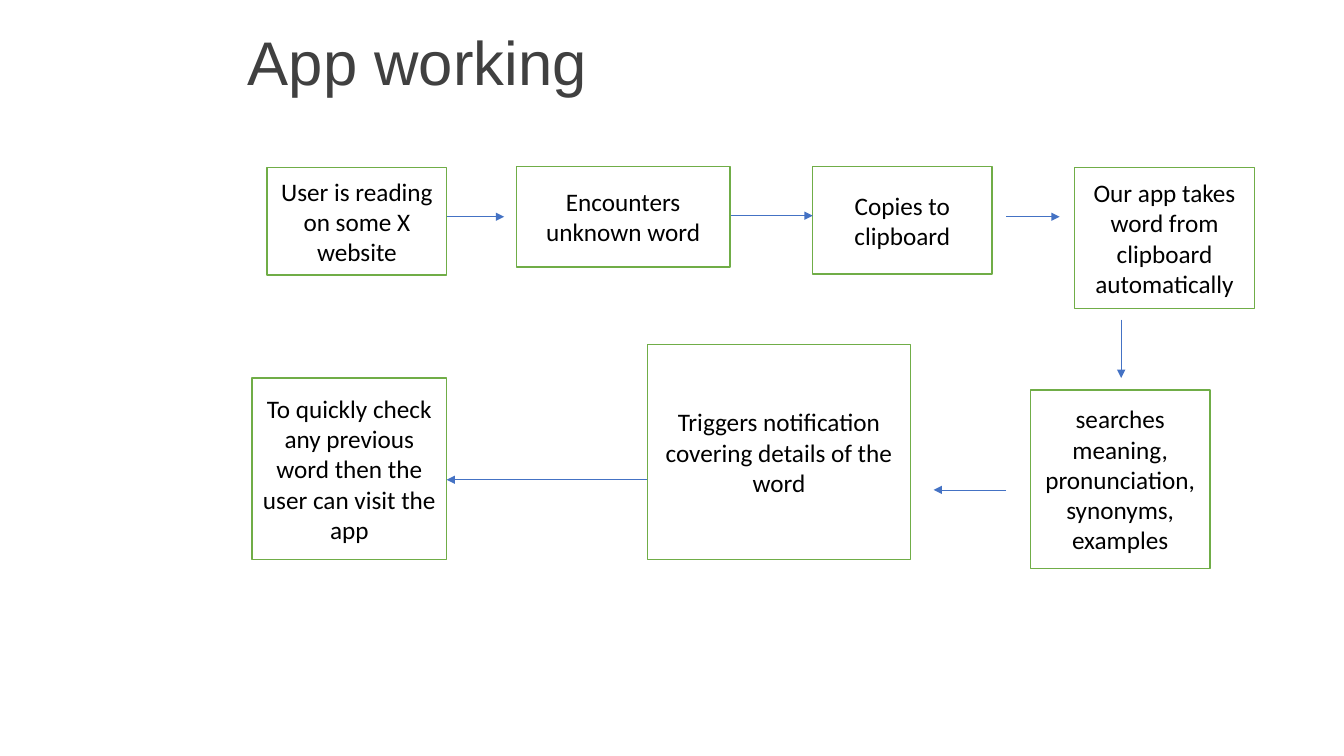
from lxml.etree import SubElement
from pptx import Presentation
from pptx.dml.color import RGBColor
from pptx.enum.shapes import MSO_CONNECTOR, MSO_SHAPE
from pptx.enum.text import MSO_ANCHOR, PP_ALIGN
from pptx.oxml.ns import qn
from pptx.util import Pt

PX = 9144
WHITE = RGBColor(0xFF, 0xFF, 0xFF)
BLACK = RGBColor(0x00, 0x00, 0x00)
GREY = RGBColor(0x40, 0x40, 0x40)
GREEN = RGBColor(0x70, 0xAD, 0x47)
BLUE = RGBColor(0x44, 0x72, 0xC4)

STEPS = [
    ("User is reading on some X website", 265, 166, 178, 107),
    ("Encounters unknown word", 512, 165, 212, 100),
    ("Copies to clipboard", 806, 165, 178, 107),
    ("Our app takes word from clipboard automatically", 1066, 166, 178, 140),
    ("searches meaning, pronunciation, synonyms, examples", 1022, 387, 178, 177),
    ("Triggers notification covering details of the word", 642, 342, 261, 213),
    ("To quickly check any previous word then the user can visit the app", 250, 375, 193, 180),
]

ARROWS = [
    (443, 215, 500, 215),
    (725, 214, 806, 214),
    (998, 215, 1051, 215),
    (1112, 317, 1112, 375),
    (998, 486, 926, 486),
    (642, 476, 443, 476),
]


def emu(*lengths):
    return [length * PX for length in lengths]


def write(frame, text, *, font, size, color, align=PP_ALIGN.LEFT, spacing=1.0):
    frame.word_wrap = True
    frame.vertical_anchor = MSO_ANCHOR.MIDDLE
    paragraph = frame.paragraphs[0]
    paragraph.alignment = align
    paragraph.line_spacing = spacing
    run = paragraph.add_run()
    run.text = text
    run.font.name = font
    run.font.size = Pt(size)
    run.font.color.rgb = color


def add_title(slide, text):
    title = slide.shapes.add_textbox(*emu(236, 0, 1097, 129))
    write(title.text_frame, text, font="Arial", size=44, color=GREY, spacing=0.9)


def add_step(slide, text, left, top, width, height):
    step = slide.shapes.add_shape(MSO_SHAPE.RECTANGLE, *emu(left, top, width, height))
    step.shadow.inherit = False
    step.fill.solid()
    step.fill.fore_color.rgb = WHITE
    step.line.color.rgb = GREEN
    step.line.width = Pt(1)
    write(step.text_frame, text, font="Calibri", size=18, color=BLACK, align=PP_ALIGN.CENTER)


def add_arrow(slide, *ends):
    arrow = slide.shapes.add_connector(MSO_CONNECTOR.STRAIGHT, *emu(*ends))
    arrow.line.color.rgb = BLUE
    arrow.line.width = Pt(0.5)
    SubElement(arrow.line._get_or_add_ln(), qn("a:tailEnd"), type="triangle")
    SubElement(arrow._element.spPr, qn("a:effectLst"))


def main():
    deck = Presentation()
    deck.slide_width, deck.slide_height = emu(1333, 750)
    slide = deck.slides.add_slide(deck.slide_layouts[6])
    add_title(slide, "App working")
    for step in STEPS:
        add_step(slide, *step)
    for arrow in ARROWS:
        add_arrow(slide, *arrow)
    deck.save("out.pptx")


if __name__ == "__main__":
    main()
